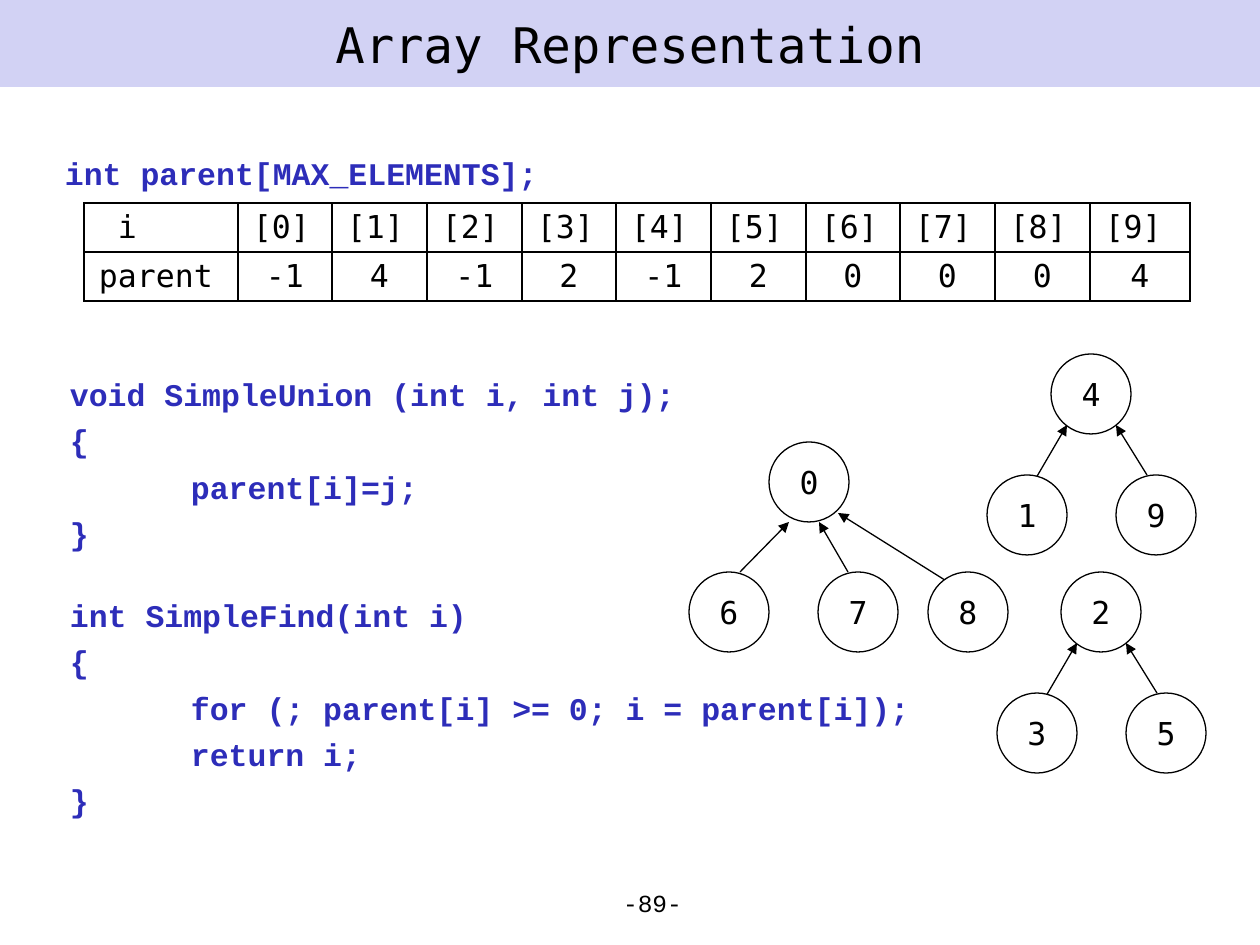
from lxml import etree
from pptx import Presentation
from pptx.dml.color import RGBColor
from pptx.enum.shapes import MSO_CONNECTOR, MSO_SHAPE
from pptx.enum.text import MSO_ANCHOR, PP_ALIGN
from pptx.oxml.ns import qn
from pptx.util import Emu, Pt

CENTER, LEFT, RIGHT = PP_ALIGN.CENTER, PP_ALIGN.LEFT, PP_ALIGN.RIGHT
MIDDLE, TOP = MSO_ANCHOR.MIDDLE, MSO_ANCHOR.TOP
OVAL, STRAIGHT = MSO_SHAPE.OVAL, MSO_CONNECTOR.STRAIGHT
EMU_PER_PX = 914400 / 126
MONO, COURIER = "DejaVu Sans Mono", "Courier New"
BLACK, WHITE, CODE_BLUE, TITLE_FILL = "000000", "FFFFFF", "2D2DB9", "D2D2F4"

TITLE = "Array Representation"
PAGE_NUMBER = "-89-"
PARENTS = [-1, 4, -1, 2, -1, 2, 0, 0, 0, 4]

CODE_BLOCKS = [
    (65, 154, [(0, "int parent[MAX_ELEMENTS];")]),
    (70, 375, [(0, "void SimpleUnion (int i, int j);"), (0, "{"),
               (1, "parent[i]=j;"), (0, "}")]),
    (70, 596, [(0, "int SimpleFind(int i)"), (0, "{"),
               (1, "for (; parent[i] >= 0; i = parent[i]);"),
               (1, "return i;"), (0, "}")]),
]
CODE_INDENT = 121

NODE_SIZE = 80
# Each child: offset of its circle, arrow start and arrow end from the root
THREE_CHILDREN = [((-80, 130), (-29, 130), (20, 80)),
                  ((49, 130), (79, 130), (50, 80)),
                  ((159, 130), (179, 140), (69, 71))]
TWO_CHILDREN = [((-64, 121), (-19, 131), (16, 71)),
                ((65, 121), (96, 121), (65, 71))]
TREES = [
    (0, (769, 442), [6, 7, 8], THREE_CHILDREN),
    (4, (1051, 354), [1, 9], TWO_CHILDREN),
    (2, (1061, 572), [3, 5], TWO_CHILDREN),
]


def px(value):
    return Emu(round(value * EMU_PER_PX))


def color(value):
    return RGBColor.from_string(value)


def add_run(paragraph, text, size=18, font=MONO, fill=BLACK, bold=False):
    run = paragraph.add_run()
    run.text = text
    run.font.size = Pt(size)
    run.font.name = font
    run.font.bold = bold
    run.font.color.rgb = color(fill)


def set_frame(frame, anchor, wrap=True):
    frame.word_wrap = wrap
    frame.vertical_anchor = anchor
    frame.margin_left = frame.margin_right = 0
    frame.margin_top = frame.margin_bottom = 0


def add_title(slide):
    title = slide.shapes.title
    title.left, title.top, title.width, title.height = map(px, (0, 0, 1260, 87))
    title.fill.solid()
    title.fill.fore_color.rgb = color(TITLE_FILL)
    set_frame(title.text_frame, MIDDLE)
    paragraph = title.text_frame.paragraphs[0]
    paragraph.alignment = CENTER
    add_run(paragraph, TITLE, 28)


def add_border(cell):
    properties = cell._tc.get_or_add_tcPr()
    for position, side in enumerate(("a:lnL", "a:lnR", "a:lnT", "a:lnB")):
        line = etree.Element(qn(side), w=str(Pt(1)))
        fill = etree.SubElement(line, qn("a:solidFill"))
        etree.SubElement(fill, qn("a:srgbClr"), val=BLACK)
        properties.insert(position, line)


def add_parent_table(slide):
    left, top, row_height = 84, 203, 49
    edges = [left] + [238 + 284 * i // 3 for i in range(len(PARENTS))] + [1190]
    rows = [["i"] + [f"[{i}]" for i in range(len(PARENTS))],
            ["parent"] + [str(value) for value in PARENTS]]
    table = slide.shapes.add_table(
        len(rows), len(rows[0]), px(left), px(top),
        px(edges[-1] - left), px(row_height * len(rows))).table
    table.first_row = table.horz_banding = False
    for column, start, end in zip(table.columns, edges, edges[1:]):
        column.width = px(end - start)
    for r, row in enumerate(rows):
        table.rows[r].height = px(row_height)
        for c, text in enumerate(row):
            cell = table.cell(r, c)
            cell.fill.background()
            cell.margin_left = px(34 if text == "i" else 15)
            cell.margin_right = px(15)
            cell.margin_top = cell.margin_bottom = px(6)
            paragraph = cell.text_frame.paragraphs[0]
            paragraph.alignment = CENTER if r and c else LEFT
            add_run(paragraph, text)
            add_border(cell)


def add_code(slide, left, top, lines):
    box = slide.shapes.add_textbox(px(left), px(top), px(880), px(44 * len(lines)))
    frame = box.text_frame
    set_frame(frame, TOP)
    for i, (level, text) in enumerate(lines):
        paragraph = frame.add_paragraph() if i else frame.paragraphs[0]
        paragraph.space_before = Pt(4.86 if i else 0)
        paragraph._p.get_or_add_pPr().set("marL", str(px(CODE_INDENT * level)))
        add_run(paragraph, text, font=COURIER, fill=CODE_BLUE, bold=True)


def add_node(shapes, label, left, top):
    node = shapes.add_shape(OVAL, px(left), px(top), px(NODE_SIZE), px(NODE_SIZE))
    node.shadow.inherit = False
    node.fill.solid()
    node.fill.fore_color.rgb = color(WHITE)
    node.line.color.rgb = color(BLACK)
    node.line.width = Pt(0.75)
    set_frame(node.text_frame, MIDDLE, wrap=False)
    paragraph = node.text_frame.paragraphs[0]
    paragraph.alignment = CENTER
    add_run(paragraph, str(label))


def add_arrow(shapes, start, end):
    arrow = shapes.add_connector(STRAIGHT, *map(px, start + end))
    arrow.line.color.rgb = color(BLACK)
    arrow.line.width = Pt(0.75)
    etree.SubElement(arrow.line._get_or_add_ln(), qn("a:tailEnd"), type="triangle")
    etree.SubElement(arrow._element.spPr, qn("a:effectLst"))


def add_tree(slide, root, origin, children, layout):
    shapes = slide.shapes.add_group_shape().shapes
    add_node(shapes, root, *origin)
    for label, offsets in zip(children, layout):
        corner, start, end = [(origin[0] + x, origin[1] + y) for x, y in offsets]
        add_arrow(shapes, start, end)
        add_node(shapes, label, *corner)


def add_page_number(slide):
    box = slide.shapes.add_textbox(px(432), px(880), px(250), px(46))
    set_frame(box.text_frame, MIDDLE)
    paragraph = box.text_frame.paragraphs[0]
    paragraph.alignment = RIGHT
    add_run(paragraph, PAGE_NUMBER, 14, COURIER)


def main():
    presentation = Presentation()
    presentation.slide_width, presentation.slide_height = px(1260), px(945)
    slide = presentation.slides.add_slide(presentation.slide_layouts[5])
    add_title(slide)
    add_parent_table(slide)
    add_page_number(slide)
    for block in CODE_BLOCKS:
        add_code(slide, *block)
    for tree in TREES:
        add_tree(slide, *tree)
    presentation.save("out.pptx")


if __name__ == "__main__":
    main()
